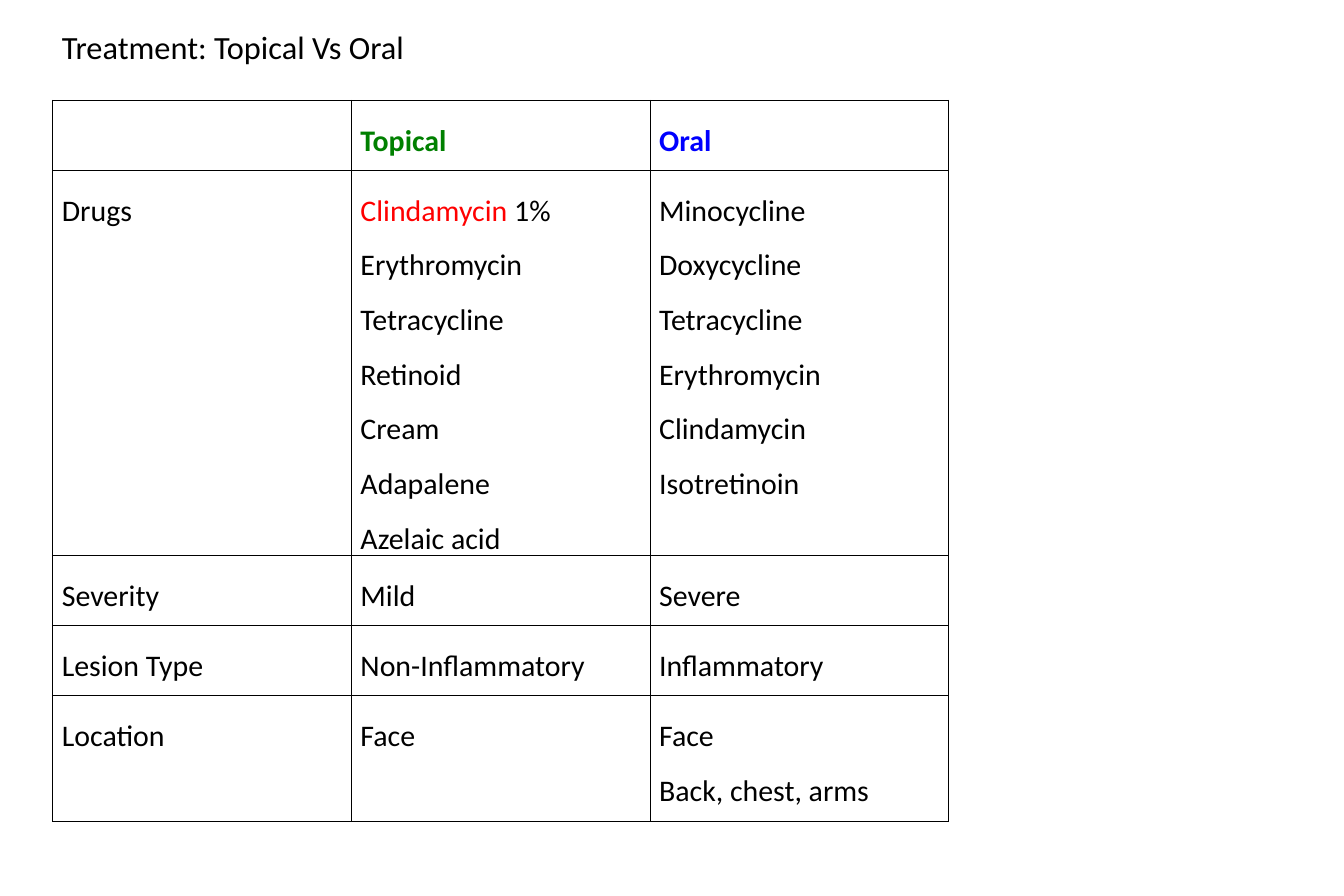
from lxml import etree
from pptx import Presentation, util as u
from pptx.dml import color
from pptx.enum import text
from pptx.oxml import ns

BLACK, GREEN, BLUE, RED = "000000", "008000", "0000FF", "FF0000"
ROW_HEIGHTS = [0.78, 4.28, 0.78, 0.78, 1.41]
TOPICAL_DRUGS = [
    [("Clindamycin", RED), (" 1%", BLACK)],
    "Erythromycin", "Tetracycline", "Retinoid", "Cream", "Adapalene", "Azelaic acid",
]
ORAL_DRUGS = [
    "Minocycline", "Doxycycline", "Tetracycline",
    "Erythromycin", "Clindamycin", "Isotretinoin",
]
ROWS = [
    [[], [[("Topical", GREEN)]], [[("Oral", BLUE)]]],
    [["Drugs"], TOPICAL_DRUGS, ORAL_DRUGS],
    [["Severity"], ["Mild"], ["Severe"]],
    [["Lesion Type"], ["Non-Inflammatory"], ["Inflammatory"]],
    [["Location"], ["Face"], ["Face", "Back, chest, arms"]],
]


def rgb(value):
    return color.RGBColor.from_string(value)


def apply(target, formats):
    for name, value in formats.items():
        setattr(target, name, value)


def add_run(paragraph, words, size, hex_color, bold=False):
    run = paragraph.add_run()
    run.text = words
    apply(run.font, {"name": "Calibri", "size": u.Pt(size), "bold": bold})
    run.font.color.rgb = rgb(hex_color)


def add_borders(cell):
    properties = cell._tc.get_or_add_tcPr()
    for side in ("lnL", "lnR", "lnT", "lnB"):
        line = etree.SubElement(properties, ns.qn(f"a:{side}"), w=str(u.Pt(1)))
        fill = etree.SubElement(line, ns.qn("a:solidFill"))
        etree.SubElement(fill, ns.qn("a:srgbClr"), val=BLACK)


def fill_cell(cell, lines, bold):
    add_borders(cell)
    cell.fill.background()
    for index, line in enumerate(lines):
        frame = cell.text_frame
        paragraph = frame.add_paragraph() if index else frame.paragraphs[0]
        paragraph.line_spacing = 1.5
        pieces = [(line, BLACK)] if isinstance(line, str) else line
        for words, hex_color in pieces:
            add_run(paragraph, words, 24, hex_color, bold)


def place_title(slide, left, top, width, height):
    title = slide.shapes.title
    apply(title, {
        "left": u.Inches(left), "top": u.Inches(top),
        "width": u.Inches(width), "height": u.Inches(height),
    })
    apply(title.text_frame, {
        "word_wrap": False,
        "auto_size": text.MSO_AUTO_SIZE.SHAPE_TO_FIT_TEXT,
        "vertical_anchor": text.MSO_ANCHOR.TOP,
    })
    paragraph = title.text_frame.paragraphs[0]
    apply(paragraph, {"alignment": text.PP_ALIGN.LEFT, "line_spacing": 1.0,
                      "space_before": u.Pt(0)})
    add_run(paragraph, "Treatment: Topical Vs Oral", 26, BLACK)


def add_treatment_table(slide, left, top, width, height):
    table = slide.shapes.add_table(
        len(ROWS), len(ROWS[0]), u.Inches(left), u.Inches(top),
        u.Inches(width), u.Inches(height)).table
    apply(table, {"first_row": False, "horz_banding": False})
    for row_index, row in enumerate(ROWS):
        table.rows[row_index].height = u.Inches(ROW_HEIGHTS[row_index])
        for column_index, lines in enumerate(row):
            fill_cell(table.cell(row_index, column_index), lines, row_index == 0)


def build_treatment_slide(presentation):
    slide = presentation.slides.add_slide(presentation.slide_layouts[5])
    place_title(slide, 0.59, 0.25, 4.15, 0.54)
    add_treatment_table(slide, 0.59, 1.12, 10, sum(ROW_HEIGHTS))


presentation = Presentation()
apply(presentation, {"slide_width": u.Inches(15), "slide_height": u.Inches(10)})
build_treatment_slide(presentation)
presentation.save("out.pptx")
